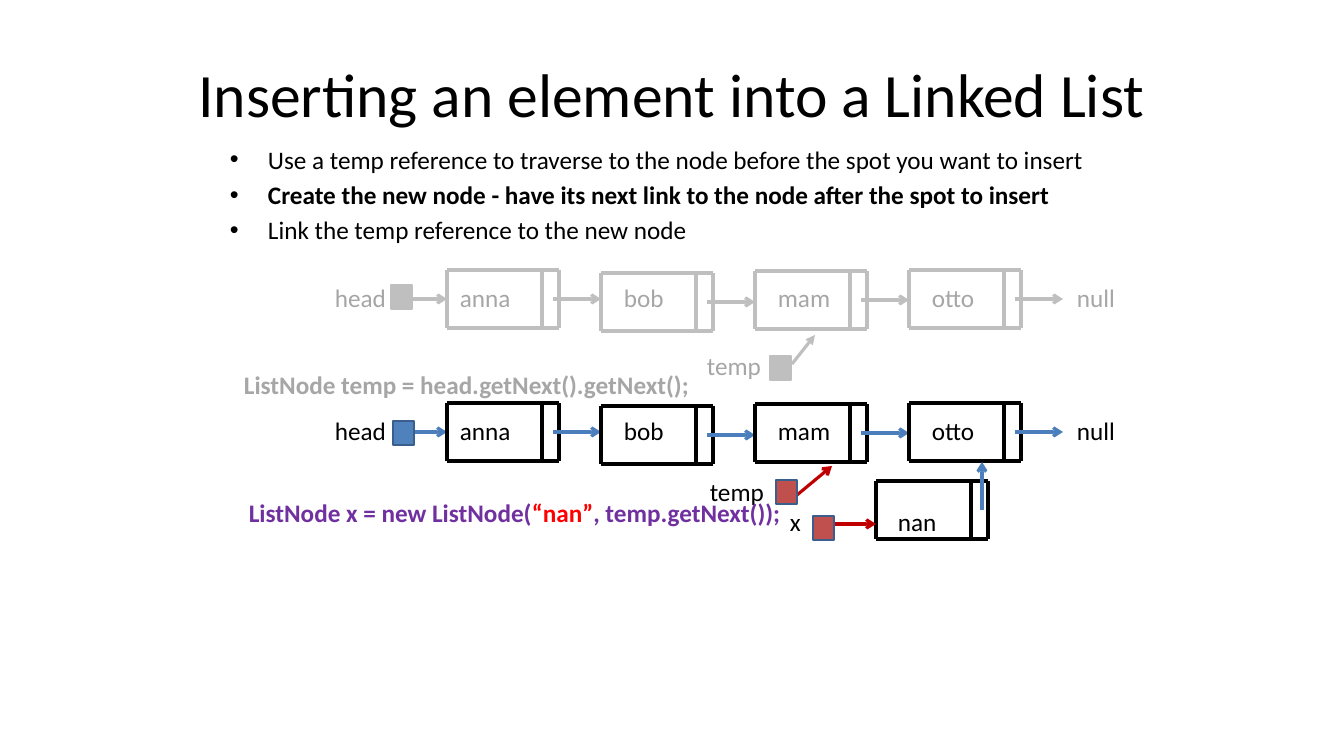
from lxml import etree
from pptx import Presentation
from pptx.dml.color import RGBColor
from pptx.enum.shapes import MSO_CONNECTOR as CONNECTOR, MSO_SHAPE as SHAPE
from pptx.enum.text import MSO_ANCHOR as ANCHOR, PP_ALIGN as ALIGN
from pptx.oxml.ns import qn
from pptx.util import Emu, Pt

COLORS = {
    "black": "000000", "silver": "BFBFBF", "gray": "A6A6A6",
    "blue": "4B7EBC", "square": "4F81BD", "edge": "3A5F8C",
    "red": "C00000", "brick": "C0504D", "purple": "7030A0", "literal": "FF0000",
}
FONT = "Calibri"

TITLE = "Inserting an element into a Linked List"
STEPS = [
    ("Use a temp reference to traverse to the node before the spot you want to insert", False),
    ("Create the new node - have its next link to the node after the spot to insert", True),
    ("Link the temp reference to the new node", False),
]
CHAIN_LABELS = [("head", 335), ("anna", 460), ("bob", 624),
                ("mam", 778), ("otto", 932), ("null", 1077)]
TEMP_LABELS = [("temp", 710)]
NEW_NODE_LABELS = [("x", 790), ("nan", 898)]

# Each chain: top, node line colour, link colour
CHAINS = [(270, "silver", "silver"), (403, "black", "blue")]
# Each label box: top, height, colour, rows of labels
LABEL_BOXES = [
    (277, 102, "gray", [CHAIN_LABELS]),
    (410, 132, "black", [CHAIN_LABELS, TEMP_LABELS, NEW_NODE_LABELS]),
]
# Each statement: left, top, width, pieces of code
STATEMENTS = [
    (234, 364, 470, [("ListNode temp = head.getNext().getNext();", "gray")]),
    (239, 492, 554, [("ListNode x = new ListNode(", "purple"), ("“nan”", "literal"),
                     (", temp.getNext());", "purple")]),
]
# Each reference arrow: x1, y1, x2, y2, colour, arrowhead
REFERENCE_ARROWS = [
    (792, 364, 815, 335, "silver", "triangle"),
    (797, 495, 832, 466, "red", "arrow"),
    (835, 524, 876, 524, "red", "arrow"),
    (982, 510, 982, 462, "blue", "arrow"),
]
# Each reference square: left, top, fill, outline
REFERENCE_SQUARES = [
    (391, 285, "silver", "silver"), (393, 421, "square", "edge"),
    (770, 356, "silver", "silver"), (776, 480, "brick", "edge"),
    (813, 516, "brick", "edge"),
]

NODE_LEFT, NODE_STEP = 447, 154
NODE_OFFSETS = [0, 3, 1, 0]
NODE_WIDTH, NODE_HEIGHT, DIVIDER = 112, 58, 95
LINK_START, LINK_LENGTH = 106, 48
NEW_NODE = (876, 481)
SQUARE_WIDTH, SQUARE_HEIGHT = 21, 24
LABELS_LEFT, LABELS_WIDTH, INSET = 325, 843, 10


def px(value):
    return Emu(round(value * 914400 / 100.8))


def color(name):
    return RGBColor.from_string(COLORS[name])


def format_runs(paragraph, color_name, size=18, bold=False):
    for run in paragraph.runs:
        run.font.name = FONT
        run.font.size = Pt(size)
        run.font.bold = bold
        run.font.color.rgb = color(color_name)


def add_text_frame(slide, left, top, width, height, wrap=True):
    box = slide.shapes.add_textbox(px(left), px(top), px(width), px(height))
    box.text_frame.word_wrap = wrap
    return box.text_frame


def next_paragraph(frame, index):
    return frame.paragraphs[0] if index == 0 else frame.add_paragraph()


def add_line(slide, x1, y1, x2, y2, color_name, head=None):
    line = slide.shapes.add_connector(CONNECTOR.STRAIGHT, px(x1), px(y1), px(x2), px(y2))
    line.line.color.rgb = color(color_name)
    line.line.width = Pt(2.25)
    properties = line._element.spPr
    if head:
        etree.SubElement(properties.find(qn("a:ln")), qn("a:tailEnd"), type=head)
    etree.SubElement(properties, qn("a:effectLst"))


def add_node(slide, left, top, color_name):
    """Draw a list node: its outline and the divider before the link cell."""
    right, bottom = left + NODE_WIDTH, top + NODE_HEIGHT
    for y in (top, bottom):
        add_line(slide, left, y, right, y, color_name)
    for x in (left, left + DIVIDER, right):
        add_line(slide, x, top, x, bottom, color_name)


def add_chain(slide, top, node_color, link_color):
    middle = top + NODE_HEIGHT // 2
    add_line(slide, NODE_LEFT - LINK_LENGTH, middle, NODE_LEFT, middle, link_color, "arrow")
    for index, offset in enumerate(NODE_OFFSETS):
        left = NODE_LEFT + index * NODE_STEP
        add_node(slide, left, top + offset, node_color)
        start = left + LINK_START
        add_line(slide, start, middle + offset, start + LINK_LENGTH, middle + offset,
                 link_color, "arrow")


def add_labels(slide, top, height, color_name, rows):
    """Write rows of labels, each label placed by a tab stop."""
    frame = add_text_frame(slide, LABELS_LEFT, top, LABELS_WIDTH, height)
    text_left = LABELS_LEFT + INSET
    for index, labels in enumerate(rows):
        paragraph = next_paragraph(frame, index)
        stops = [(text, x - text_left) for text, x in labels]
        paragraph.text = "".join("\t" + text if stop else text for text, stop in stops)
        paragraph.space_before = Pt(22 if index == 1 else 0)
        tabs = etree.SubElement(paragraph._p.get_or_add_pPr(), qn("a:tabLst"))
        for _, stop in stops:
            if stop:
                etree.SubElement(tabs, qn("a:tab"), pos=str(px(stop)), algn="l")
        format_runs(paragraph, color_name)


def add_steps(slide):
    frame = add_text_frame(slide, 220, 139, 907, 134)
    for index, (text, bold) in enumerate(STEPS):
        paragraph = next_paragraph(frame, index)
        paragraph.text = text
        paragraph.space_before = Pt(3.6)
        properties = paragraph._p.get_or_add_pPr()
        properties.set("marL", str(px(38)))
        properties.set("indent", str(px(-38)))
        etree.SubElement(properties, qn("a:buFont"), typeface="Arial")
        etree.SubElement(properties, qn("a:buChar"), char="•")
        format_runs(paragraph, "black", bold=bold)


def add_statement(slide, left, top, width, pieces):
    paragraph = add_text_frame(slide, left, top, width, 40, wrap=False).paragraphs[0]
    for text, color_name in pieces:
        run = paragraph.add_run()
        run.text = text
        run.font.name = FONT
        run.font.size = Pt(18)
        run.font.bold = True
        run.font.color.rgb = color(color_name)


def add_square(slide, left, top, fill, outline):
    square = slide.shapes.add_shape(SHAPE.RECTANGLE, px(left), px(top),
                                    px(SQUARE_WIDTH), px(SQUARE_HEIGHT))
    square.shadow.inherit = False
    square.fill.solid()
    square.fill.fore_color.rgb = color(fill)
    square.line.color.rgb = color(outline)
    square.line.width = Pt(2)


def main():
    presentation = Presentation()
    presentation.slide_width, presentation.slide_height = px(1344), px(756)
    slide = presentation.slides.add_slide(presentation.slide_layouts[5])

    title = slide.shapes.title
    title.left, title.top, title.width, title.height = px(67), px(30), px(1210), px(126)
    title.text_frame.text = TITLE
    title.text_frame.vertical_anchor = ANCHOR.MIDDLE
    title.text_frame.paragraphs[0].alignment = ALIGN.CENTER
    format_runs(title.text_frame.paragraphs[0], "black", size=44)

    add_steps(slide)
    for chain in CHAINS:
        add_chain(slide, *chain)
    add_node(slide, *NEW_NODE, "black")
    for label_box in LABEL_BOXES:
        add_labels(slide, *label_box)
    for statement in STATEMENTS:
        add_statement(slide, *statement)
    temp_label = add_text_frame(slide, 697, 345, 101, 40).paragraphs[0]
    temp_label.text = "temp"
    format_runs(temp_label, "gray")
    for arrow in REFERENCE_ARROWS:
        add_line(slide, *arrow)
    for square in REFERENCE_SQUARES:
        add_square(slide, *square)

    presentation.save("out.pptx")


if __name__ == "__main__":
    main()
